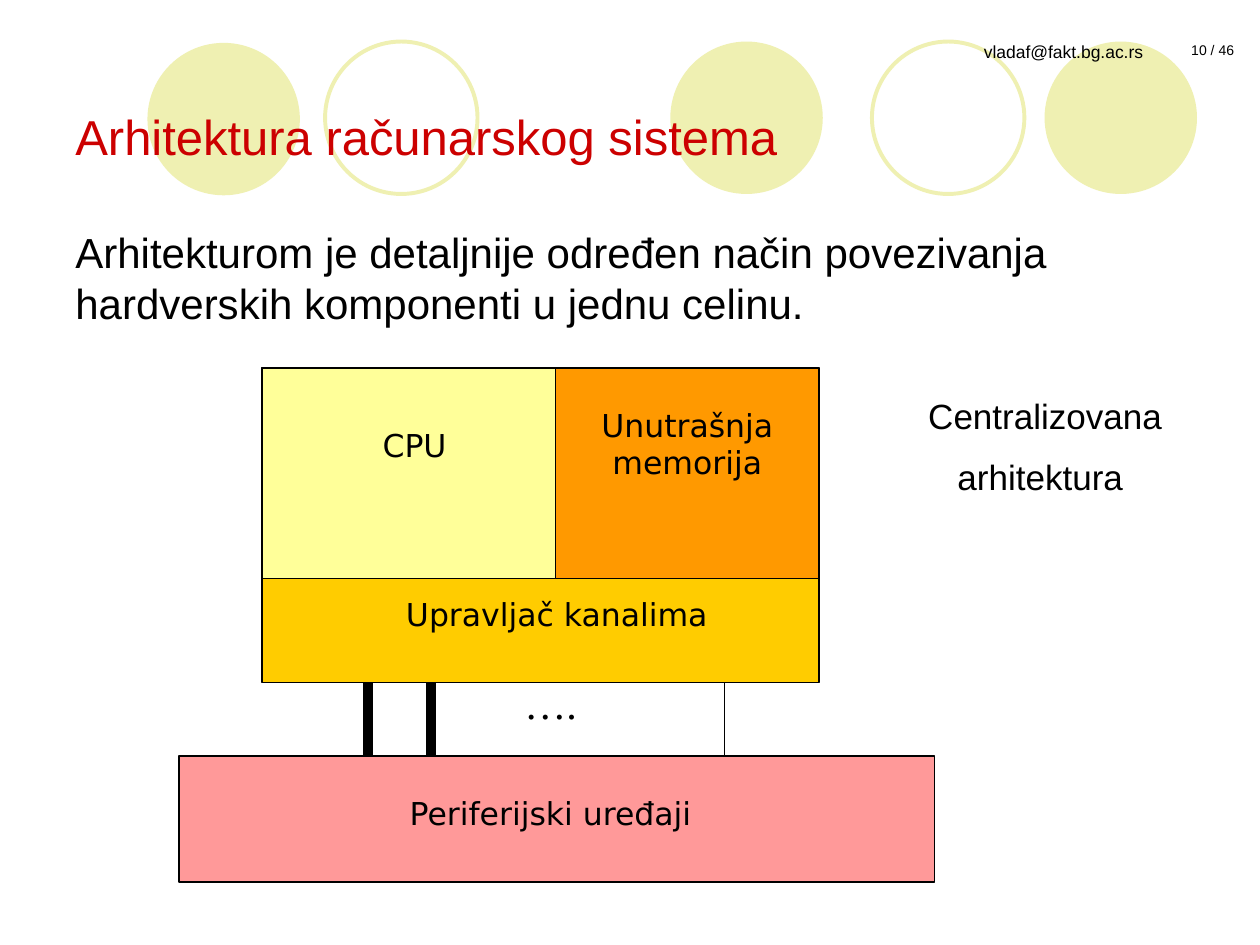
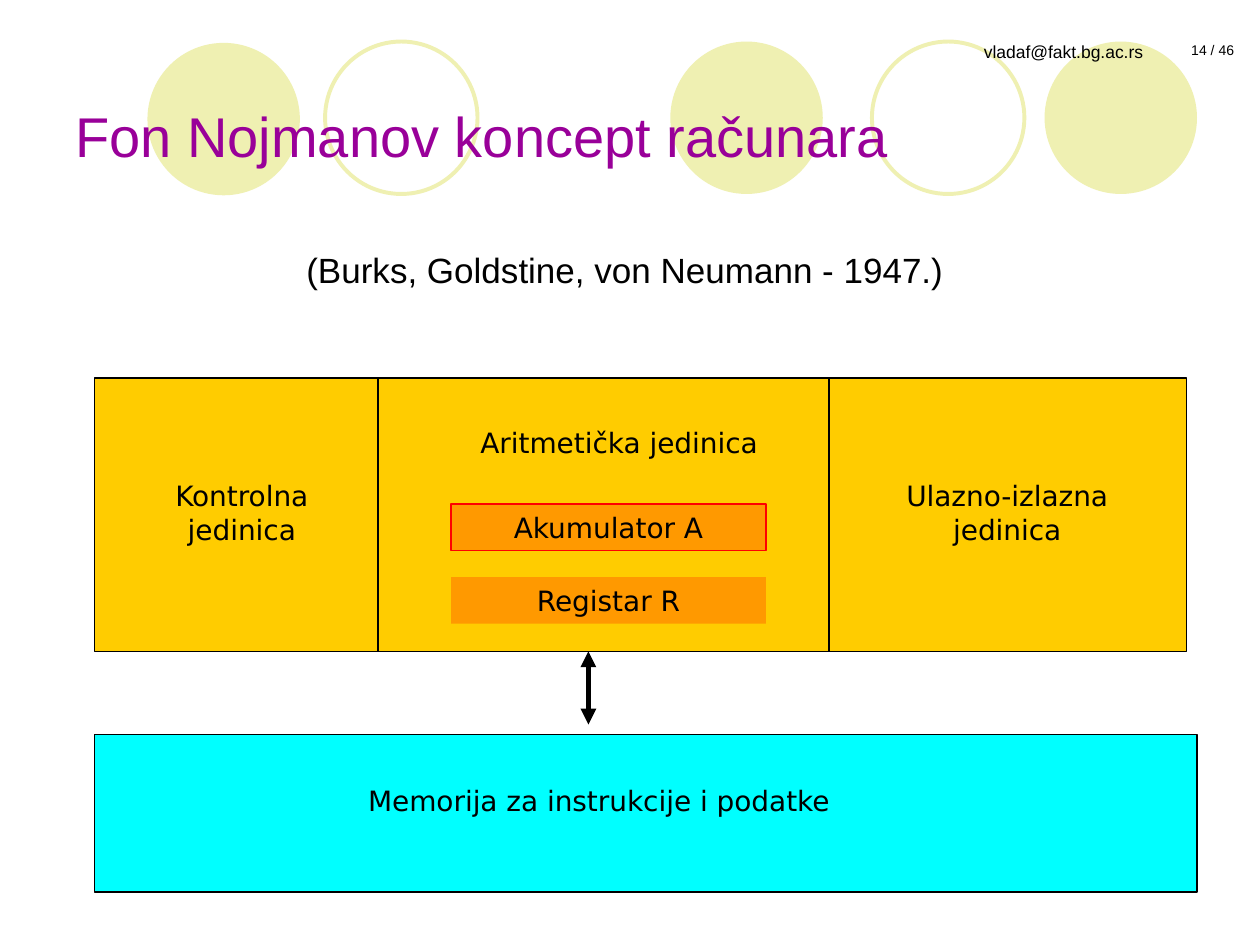
"""Builds two slides on computer architecture."""
from lxml.etree import SubElement
from pptx import Presentation
from pptx.dml.color import RGBColor
from pptx.enum.shapes import MSO_CONNECTOR, MSO_SHAPE
from pptx.enum.text import MSO_ANCHOR, PP_ALIGN
from pptx.oxml.ns import qn
from pptx.util import Inches, Pt

BLACK = RGBColor(0x00, 0x00, 0x00)
RED = RGBColor(0xFF, 0x00, 0x00)
TITLE_RED = RGBColor(0xCC, 0x00, 0x00)
TITLE_PURPLE = RGBColor(0x99, 0x00, 0x99)
PALE_GREEN = RGBColor(0xEF, 0xF0, 0xB2)
YELLOW = RGBColor(0xFF, 0xFF, 0x99)
GOLD = RGBColor(0xFF, 0xCC, 0x00)
ORANGE = RGBColor(0xFF, 0x99, 0x00)
PINK = RGBColor(0xFF, 0x99, 0x99)
CYAN = RGBColor(0x00, 0xFF, 0xFF)

SANS = "Arial"
LABEL = "DejaVu Sans"
SERIF = "Times New Roman"
CENTER, LEFT, RIGHT = PP_ALIGN.CENTER, PP_ALIGN.LEFT, PP_ALIGN.RIGHT

EMAIL = "vladaf@fakt.bg.ac.rs"
SLIDE_COUNT = 46
CIRCLE_SIZE = 1.21
CIRCLES = [(5.32, 0.33, True), (8.29, 0.33, True), (1.17, 0.34, True),
           (6.92, 0.33, False), (2.58, 0.33, False)]


def write(tf, text, size, font=LABEL, color=BLACK, align=CENTER, anchor=MSO_ANCHOR.TOP):
    """Fill a text frame, one paragraph for each line of text."""
    tf.word_wrap = True
    tf.vertical_anchor = anchor
    formats = {"name": font, "size": Pt(size)}
    for i, line in enumerate(text.split("\n")):
        p = tf.add_paragraph() if i else tf.paragraphs[0]
        p.alignment = align
        if i:
            p.space_before = Pt(round(size * 0.56))
        r = p.add_run()
        r.text = line
        for name, value in formats.items():
            setattr(r.font, name, value)
        r.font.color.rgb = color


def add_text(s, box, text, size, **style):
    """Add a wrapped text box."""
    tb = s.shapes.add_textbox(*map(Inches, box))
    write(tb.text_frame, text, size, **style)


def add_figure(s, box, fill=None, line=BLACK, width=0.75, kind=MSO_SHAPE.RECTANGLE):
    """Add a preset shape; None leaves out its fill or line."""
    sp = s.shapes.add_shape(kind, *map(Inches, box))
    sp.shadow.inherit = False
    for part, color in ((sp.fill, fill), (sp.line.fill, line)):
        if color is None:
            part.background()
        else:
            part.solid()
            part.fore_color.rgb = color
    if line is not None:
        sp.line.width = Pt(width)
    return sp


def add_vertical(s, x, top, bottom, width=0.75, arrows=False):
    """Add a vertical line, with arrowheads at both ends if asked."""
    cxn = s.shapes.add_connector(MSO_CONNECTOR.STRAIGHT, *map(Inches, (x, top, x, bottom)))
    cxn.line.color.rgb = BLACK
    cxn.line.width = Pt(width)
    if arrows:
        ln = cxn.line._get_or_add_ln()
        for end in ("a:headEnd", "a:tailEnd"):
            SubElement(ln, qn(end), type="triangle")
    SubElement(cxn._element.spPr, qn("a:effectLst"))


def add_base(prs, number, title, size, color):
    """Add a slide with its circles, header and title."""
    s = prs.slides.add_slide(prs.slide_layouts[6])
    for left, top, filled in CIRCLES:
        add_figure(s, (left, top, CIRCLE_SIZE, CIRCLE_SIZE),
                   fill=PALE_GREEN if filled else None,
                   line=None if filled else PALE_GREEN,
                   width=2.25, kind=MSO_SHAPE.OVAL)
    add_text(s, (6.73, 0.28, 2.44, 0.5), EMAIL, 10, font=SANS, align=RIGHT)
    add_text(s, (9.25, 0.28, 0.75, 0.24), f"{number} / {SLIDE_COUNT}", 8, font=SANS)
    add_text(s, (0.5, 0.6, 9, 0.95), title, size, font=SANS, color=color,
             align=LEFT, anchor=MSO_ANCHOR.MIDDLE)
    return s


def build_architecture(prs):
    """Draw the centralized architecture slide."""
    s = add_base(prs, 10, "Arhitektura računarskog sistema", 28, TITLE_RED)
    add_text(s, (0.5, 1.75, 9, 0.91),
             "Arhitekturom je detaljnije određen način povezivanja "
             "hardverskih komponenti u jednu celinu.", 24, font=SANS, align=LEFT)
    for box, fill in [((2.08, 2.92, 4.42, 2.5), GOLD),
                      ((4.33, 2.92, 2.17, 1.67), ORANGE),
                      ((2.08, 2.92, 2.33, 1.67), YELLOW),
                      ((1.42, 6, 6, 1), PINK)]:
        add_figure(s, box, fill)
    for x, width in [(2.92, 6), (3.42, 6), (5.75, 0.75)]:
        add_vertical(s, x, 5.42, 6, width)
    for box, text in [((2.5, 3.33, 1.58, 0.4), "CPU"),
                      ((4.58, 3.17, 1.75, 0.7), "Unutrašnja memorija"),
                      ((2.08, 6.25, 4.58, 0.4), "Periferijski uređaji"),
                      ((2.67, 4.67, 3.5, 0.4), "Upravljač kanalima")]:
        add_text(s, box, text, 18)
    add_text(s, (3.58, 5.33, 1.58, 0.5), "….", 24, font=SERIF)
    add_text(s, (7.17, 3.08, 2.25, 0.94), "Centralizovana\narhitektura ", 20, font=SANS)


def build_von_neumann(prs):
    """Draw the von Neumann concept slide."""
    s = add_base(prs, 14, "Fon Nojmanov koncept računara", 32, TITLE_PURPLE)
    add_text(s, (1.75, 1.92, 6.42, 0.44), "(Burks, Goldstine, von Neumann - 1947.)",
             20, font=SANS)
    add_figure(s, (0.75, 3, 8.67, 2.17), GOLD)
    add_figure(s, (0.75, 5.83, 8.75, 1.25), CYAN)
    for x in (3, 6.58):
        add_vertical(s, x, 3, 5.17)
    for top, text, line in [(4, "Akumulator A", RED), (4.58, "Registar R", None)]:
        sp = add_figure(s, (3.58, top, 2.5, 0.37), ORANGE, line)
        write(sp.text_frame, text, 16)
    for box, text in [((0.92, 3.75, 2, 0.64), "Kontrolna jedinica"),
                      ((3.33, 3.33, 3.17, 0.37), "Aritmetička jedinica"),
                      ((6.83, 3.75, 2.33, 0.64), "Ulazno-izlazna jedinica"),
                      ((1.92, 6.17, 5.67, 0.37), "Memorija za instrukcije i podatke")]:
        add_text(s, box, text, 16)
    add_vertical(s, 4.67, 5.17, 5.75, 3, arrows=True)


def main():
    """Build and save the presentation."""
    prs = Presentation()
    prs.slide_width, prs.slide_height = Inches(10), Inches(7.5)
    build_architecture(prs)
    build_von_neumann(prs)
    prs.save("out.pptx")


if __name__ == "__main__":
    main()
